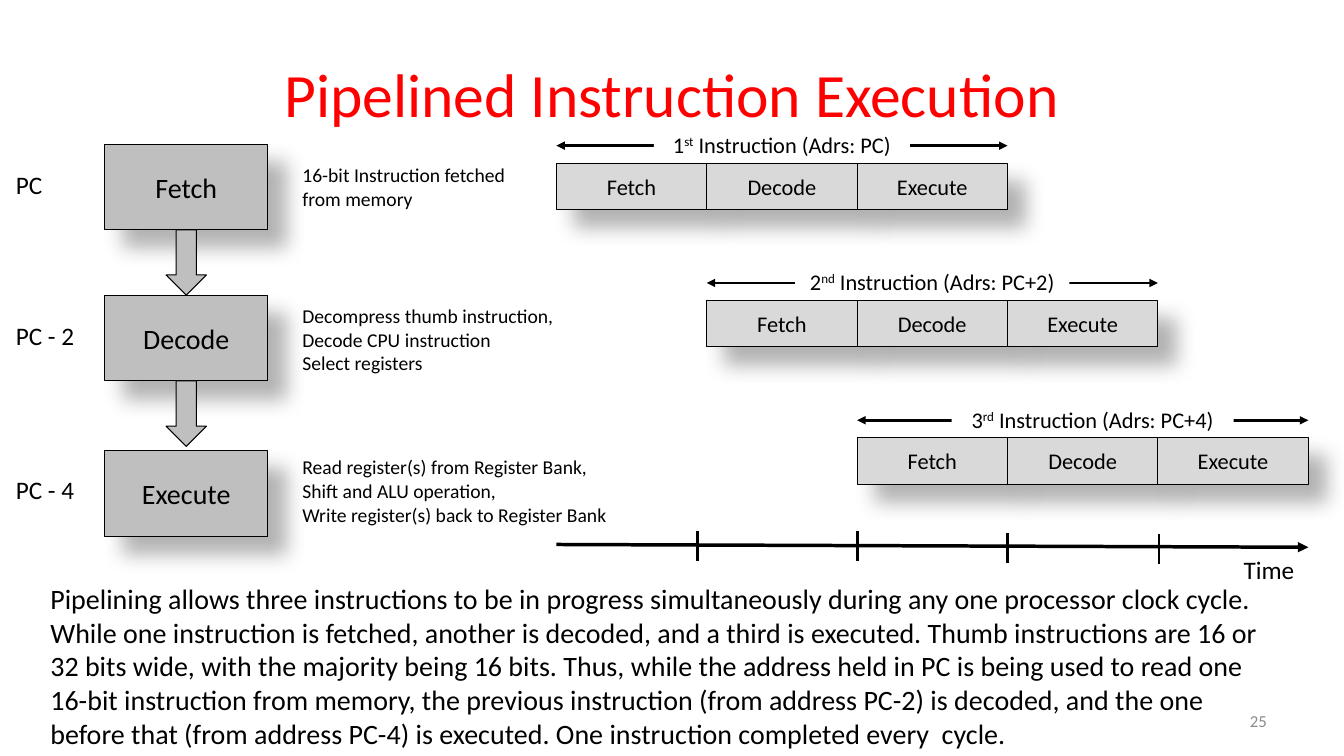
from dataclasses import dataclass

from lxml import etree
from pptx import Presentation
from pptx.dml.color import RGBColor
from pptx.enum import shapes as sh, text as tx
from pptx.oxml.ns import qn
from pptx.util import Cm, Pt

TITLE = "Pipelined Instruction Execution"
PAGE = "25"
# name, top, address, address top, note top, note height, note lines
STAGES = [
    ("Fetch", 3.63, "PC", 4.14, 3.99, 1.45,
     ["16-bit Instruction fetched", "from memory"]),
    ("Decode", 7.44, "PC - 2", 7.95, 7.54, 2.06,
     ["Decompress thumb instruction,", "Decode CPU instruction",
      "Select registers"]),
    ("Execute", 11.35, "PC - 4", 11.84, 11.35, 2.06,
     ["Read register(s) from Register Bank,", "Shift and ALU operation,",
      "Write register(s) back to Register Bank"]),
]
# number, ordinal ending, address, label left, label width
ROWS = [
    ("1", "st", "PC", 16.48, 6.45),
    ("2", "nd", "PC+2", 20.04, 6.91),
    ("3", "rd", "PC+4", 23.98, 7.11),
]
TICKS = [(17.58, 13.39), (21.6, 13.39), (25.4, 13.44), (29.21, 13.46)]
BODY = (
    "Pipelining allows three instructions to be in progress simultaneously "
    "during any one processor clock cycle. While one instruction is fetched, "
    "another is decoded, and a third is executed. Thumb instructions are 16 or "
    "32 bits wide, with the majority being 16 bits. Thus, while the address "
    "held in PC is being used to read one 16-bit instruction from memory, the "
    "previous instruction (from address PC-2) is decoded, and the one before "
    "that (from address PC-4) is executed. One instruction completed every  "
    "cycle."
)


@dataclass(frozen=True)
class Theme:
    font: str = "Calibri"
    ink: str = "000000"
    red: str = "FF0000"
    gray: str = "8C8C8C"
    stage: str = "BFBFBF"
    step: str = "D9D9D9"
    paper: str = "FFFFFF"
    head: int = 44
    large: int = 20
    mid: int = 18
    label: int = 16
    note: int = 14
    page: int = 12


T = Theme()
LEFT, STEP, TOP, DROP, HIGH = 14.02, 3.79, 4.11, 3.46, 1.17
BOX_L, BOX_W, BOX_H = 2.64, 4.11, 2.16
ARROW_W, ARROW_H = 1.02, 1.65

deck = Presentation()
deck.slide_width, deck.slide_height = Cm(33.87), Cm(19.05)
slide = deck.slides.add_slide(deck.slide_layouts[5])


def write(shape, lines, size, color=T.ink, align="LEFT", anchor="TOP"):
    """Fill a shape with lines; a line is a string or (text, raised) pairs."""
    frame = shape.text_frame
    frame.word_wrap = True
    frame.vertical_anchor = tx.MSO_ANCHOR[anchor]
    for i, line in enumerate(lines):
        par = frame.add_paragraph() if i else frame.paragraphs[0]
        par.alignment = tx.PP_ALIGN[align]
        for words, raised in [(line, False)] if isinstance(line, str) else line:
            run = par.add_run()
            run.text = words
            run.font.name, run.font.size = T.font, Pt(size)
            run.font.color.rgb = RGBColor.from_string(color)
            if raised:
                run.font._element.set("baseline", "30000")


def label(place, lines, size, **style):
    write(slide.shapes.add_textbox(*map(Cm, place)), lines, size, **style)


def block(kind, place, fill, edge=True, shade=False):
    part = slide.shapes.add_shape(sh.MSO_SHAPE[kind], *map(Cm, place))
    part.fill.solid()
    part.fill.fore_color.rgb = RGBColor.from_string(fill)
    if edge:
        part.line.color.rgb = RGBColor.from_string(T.ink)
        part.line.width = Pt(0.75)
    else:
        part.line.fill.background()
    part.shadow.inherit = False
    if shade:
        glow = etree.SubElement(
            part._element.spPr.find(qn("a:effectLst")), qn("a:outerShdw"),
            blurRad=str(Pt(15)), dist=str(Pt(18)), dir="2700000",
            algn="tl", rotWithShape="0")
        ink = etree.SubElement(glow, qn("a:srgbClr"), val=T.ink)
        etree.SubElement(ink, qn("a:alpha"), val="30000")
    return part


def line(x1, y1, x2, y2, width=2, ends=()):
    """Draw a line; ends may hold headEnd and tailEnd, in that order."""
    rule = slide.shapes.add_connector(
        sh.MSO_CONNECTOR.STRAIGHT, *map(Cm, (x1, y1, x2, y2)))
    rule.line.color.rgb = RGBColor.from_string(T.ink)
    rule.line.width = Pt(width)
    for end in ends:
        etree.SubElement(rule.line._get_or_add_ln(), qn("a:" + end),
                         type="triangle")
    etree.SubElement(rule._element.spPr, qn("a:effectLst"))


def draw_stages():
    for name, top, addr, addr_top, note_top, note_h, note in STAGES:
        box = block("RECTANGLE", (BOX_L, top, BOX_W, BOX_H), T.stage, shade=True)
        write(box, [name], T.large, align="CENTER", anchor="MIDDLE")
        label((0.15, addr_top, 2.24, 1.02), [addr], T.mid)
        label((7.37, note_top, 8.3, note_h), note, T.note)
    for stage in STAGES[:-1]:
        block("DOWN_ARROW", (BOX_L + (BOX_W - ARROW_W) / 2, stage[1] + BOX_H,
                             ARROW_W, ARROW_H), T.stage)


def draw_rows():
    for i, (num, ending, addr, left, width) in enumerate(ROWS):
        start, top = LEFT + i * STEP, TOP + i * DROP
        line(start, top - 0.44, start + 3 * STEP, top - 0.44,
             ends=("headEnd", "tailEnd"))
        tag = block("RECTANGLE", (left, top - 0.92, width, 0.9), T.paper,
                    edge=False)
        words = [(num, False), (ending, True),
                 (f" Instruction (Adrs: {addr})", False)]
        write(tag, [words], T.label, align="CENTER", anchor="MIDDLE")
        for j, stage in enumerate(STAGES):
            cell = block("RECTANGLE", (start + j * STEP, top, STEP, HIGH),
                         T.step, shade=True)
            write(cell, [stage[0]], T.label, align="CENTER", anchor="MIDDLE")


def draw_time():
    line(LEFT, 13.72, LEFT + 5 * STEP, 13.79, width=2.5, ends=("tailEnd",))
    for x, y in TICKS:
        line(x, y, x, y + 0.74)
    label((31.09, 13.84, 2.46, 1.02), ["Time"], T.mid)


def main():
    head = slide.shapes.title
    head.left, head.top, head.width, head.height = map(
        Cm, (1.7, 0.76, 30.48, 3.18))
    write(head, [TITLE], T.head, color=T.red, align="CENTER", anchor="MIDDLE")
    draw_stages()
    draw_rows()
    draw_time()
    label((24.28, 17.65, 7.9, 1.02), [PAGE], T.page, color=T.gray,
          align="RIGHT", anchor="MIDDLE")
    label((1.02, 14.53, 31.6, 4.34), [BODY], T.large)
    deck.save("out.pptx")


if __name__ == "__main__":
    main()
